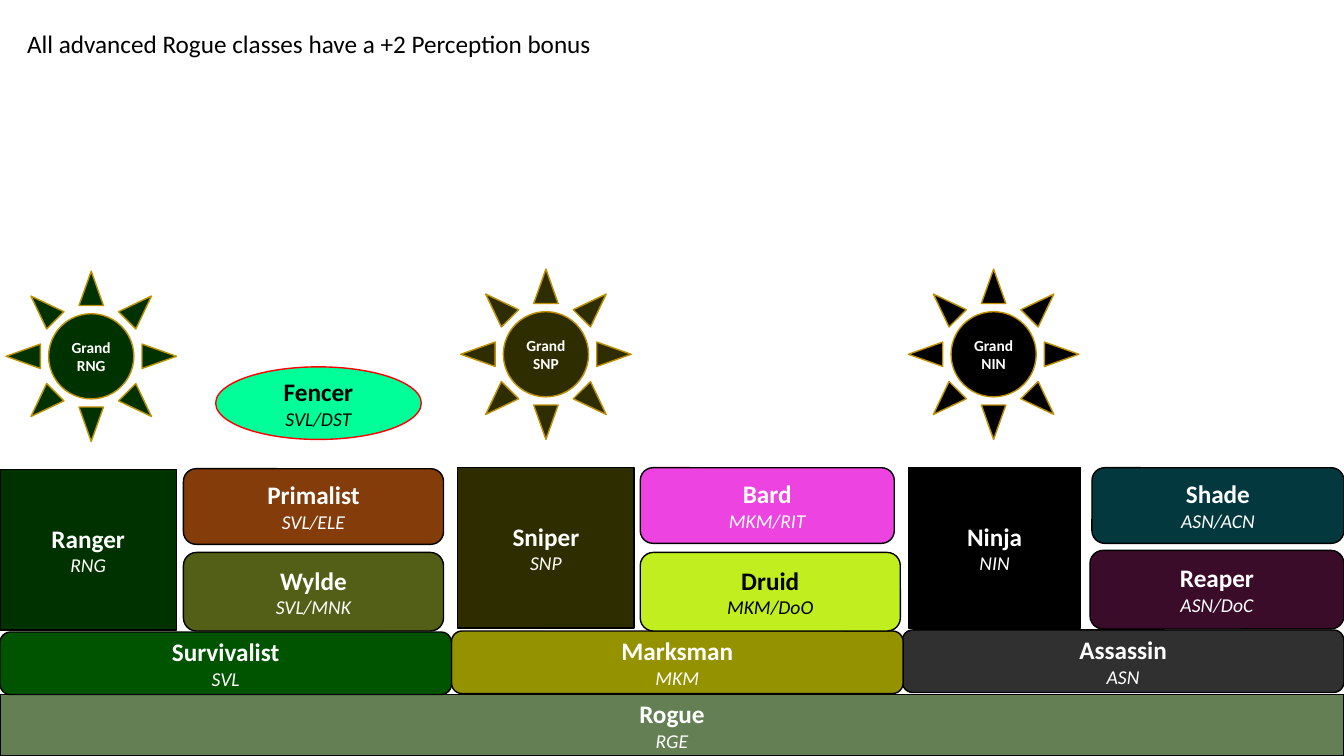
"""Draws the Rogue class tree: one root, three branches, their masteries and hybrids."""
from dataclasses import dataclass

from pptx import Presentation
from pptx.dml.color import RGBColor
from pptx.enum.shapes import MSO_SHAPE as Form
from pptx.enum.text import MSO_ANCHOR as Anchor, PP_ALIGN as Align
from pptx.util import Inches, Pt


@dataclass(frozen=True)
class Theme:
    font: str = "Calibri"
    name_size: int = 18
    code_size: int = 14
    sun_size: int = 11
    outline_width: int = 1
    light: str = "FFFFFF"
    dark: str = "000000"
    gold: str = "BF9000"
    red: str = "FF0000"


@dataclass(frozen=True)
class Area:
    """Shares of the slide's width and height, in percent."""
    left: float
    top: float
    width: float
    height: float


@dataclass(frozen=True)
class Tile:
    name: str
    code: str
    fill: str
    area: Area
    form: Form = Form.ROUNDED_RECTANGLE
    ink: str = Theme.light
    outline: str = Theme.dark


@dataclass(frozen=True)
class Branch:
    base: Tile
    mastery: Tile
    sun: Area
    hybrids: tuple[Tile, ...]


THEME = Theme()
WIDTH, HEIGHT = Inches(13.33), Inches(7.5)
BASE, MASTERY, UPPER, LOWER = 8.27, 21.2, 10, 10.4
SUN_WIDTH, SUN_HEIGHT = 12.68, 22.53

ROOT = Tile("Rogue", "RGE", "637F53", Area(0, 91.87, 100, 8.13), Form.RECTANGLE)
BRANCHES = (
    Branch(
        Tile("Survivalist", "SVL", "005400", Area(0, 83.6, 33.6, BASE)),
        Tile("Ranger", "RNG", "003200", Area(0, 62.13, 13.13, MASTERY), Form.RECTANGLE),
        Area(0.45, 35.87, SUN_WIDTH, SUN_HEIGHT),
        (
            Tile("Fencer", "SVL/DST", "00FF99", Area(16.05, 48.53, 15.3, 9.6),
                 Form.OVAL, THEME.dark, THEME.red),
            Tile("Wylde", "SVL/MNK", "535F17", Area(13.65, 73.07, 19.35, LOWER)),
            Tile("Primalist", "SVL/ELE", "843C0B", Area(13.65, 62, 19.35, UPPER)),
        ),
    ),
    Branch(
        Tile("Marksman", "MKM", "959200", Area(33.6, 83.47, 33.6, BASE)),
        Tile("Sniper", "SNP", "2E2D00", Area(34.06, 61.87, 13.13, MASTERY), Form.RECTANGLE),
        Area(34.28, 35.6, SUN_WIDTH, SUN_HEIGHT),
        (
            Tile("Druid", "MKM/DoO", "C1EE1E", Area(47.64, 73.07, 19.35, LOWER), ink=THEME.dark),
            Tile("Bard", "MKM/RIT", "ED43E1", Area(47.64, 61.87, 18.9, UPPER)),
        ),
    ),
    Branch(
        Tile("Assassin", "ASN", "303030", Area(67.14, 83.33, 32.86, BASE)),
        Tile("Ninja", "NIN", "000000", Area(67.59, 61.87, 12.83, MASTERY), Form.RECTANGLE),
        Area(67.59, 35.6, SUN_WIDTH, SUN_HEIGHT),
        (
            Tile("Reaper", "ASN/DoC", "3A0C2A", Area(81.1, 72.8, 18.9, LOWER)),
            Tile("Shade", "ASN/ACN", "03383F", Area(81.25, 61.87, 18.75, UPPER)),
        ),
    ),
)


def place(area: Area) -> tuple[int, int, int, int]:
    """Turns percent shares into slide lengths."""
    return (round(WIDTH * area.left / 100), round(HEIGHT * area.top / 100),
            round(WIDTH * area.width / 100), round(HEIGHT * area.height / 100))


def write(para, text: str, size: int, ink: str, bold: bool = False, italic: bool = False) -> None:
    """Fills a paragraph and sets its font."""
    para.text = text
    font = para.font
    font.name, font.size, font.bold, font.italic = THEME.font, Pt(size), bold, italic
    font.color.rgb = RGBColor.from_string(ink)


def draw_tile(page, tile: Tile) -> None:
    """Draws a class shape with its name above its code."""
    shape = page.shapes.add_shape(tile.form, *place(tile.area))
    shape.shadow.inherit = False
    shape.fill.solid()
    shape.fill.fore_color.rgb = RGBColor.from_string(tile.fill)
    shape.line.color.rgb = RGBColor.from_string(tile.outline)
    shape.line.width = Pt(THEME.outline_width)
    frame = shape.text_frame
    frame.word_wrap = True
    frame.vertical_anchor = Anchor.MIDDLE
    is_sun = tile.form == Form.SUN
    if is_sun:
        frame.margin_left = frame.margin_right = 0
    name, code = frame.paragraphs[0], frame.add_paragraph()
    name.alignment = code.alignment = Align.CENTER
    write(name, tile.name, THEME.sun_size if is_sun else THEME.name_size, tile.ink, bold=True)
    write(code, tile.code, THEME.sun_size if is_sun else THEME.code_size, tile.ink,
          bold=is_sun, italic=not is_sun)


def draw_branch(page, branch: Branch) -> None:
    """Draws a branch's mastery, its grand sun and its hybrids."""
    mastery = branch.mastery
    draw_tile(page, mastery)
    draw_tile(page, Tile("Grand", mastery.code, mastery.fill, branch.sun, Form.SUN,
                         outline=THEME.gold))
    for hybrid in branch.hybrids:
        draw_tile(page, hybrid)


def draw_note(page, text: str) -> None:
    """Writes the rule that holds for every class."""
    box = page.shapes.add_textbox(*place(Area(1.28, 3.07, 43.96, 5.33)))
    box.text_frame.word_wrap = False
    write(box.text_frame.paragraphs[0], text, THEME.name_size, THEME.dark)


def main() -> None:
    """Builds and saves the deck."""
    deck = Presentation()
    deck.slide_width, deck.slide_height = WIDTH, HEIGHT
    page = deck.slides.add_slide(deck.slide_layouts.get_by_name("Blank"))
    draw_tile(page, ROOT)
    for branch in reversed(BRANCHES):
        draw_tile(page, branch.base)
    for branch in BRANCHES:
        draw_branch(page, branch)
    draw_note(page, "All advanced Rogue classes have a +2 Perception bonus")
    deck.save("out.pptx")


if __name__ == "__main__":
    main()
